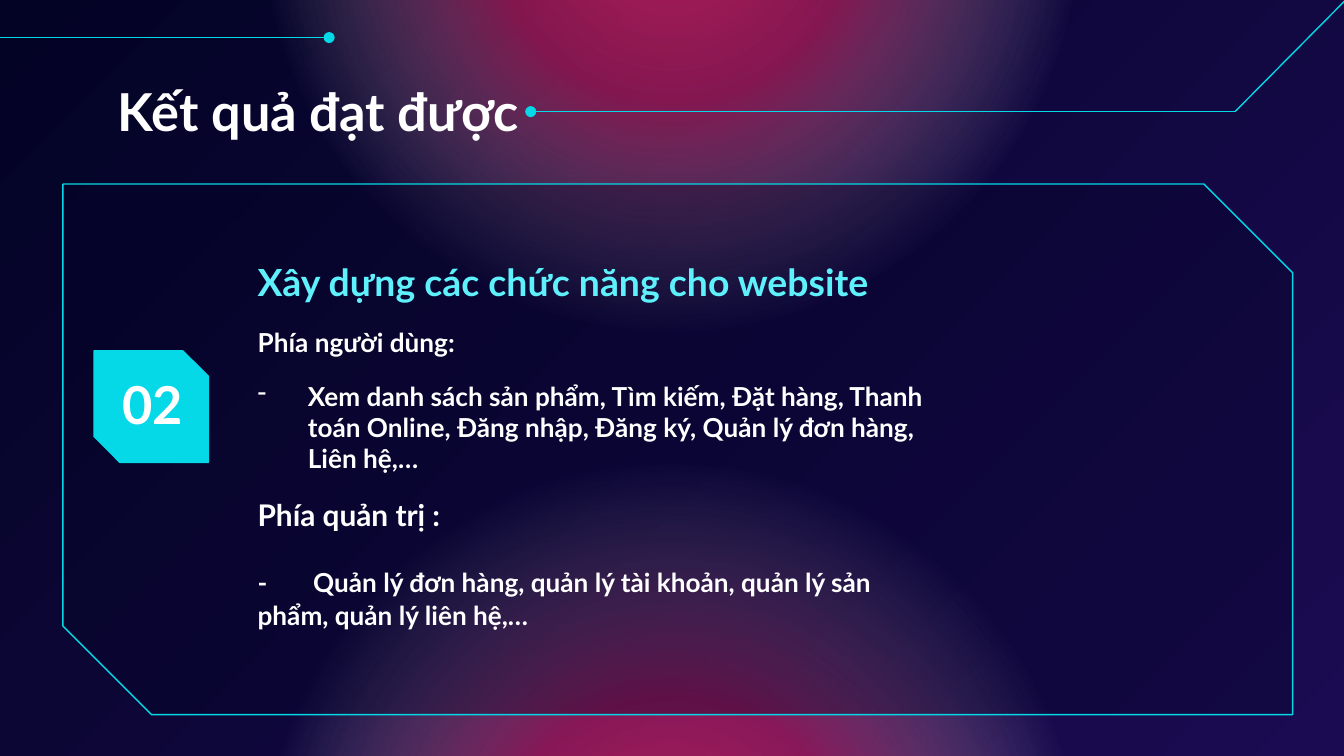
import pptx
import pptx.dml.color
import pptx.enum.shapes
import pptx.enum.text
import pptx.oxml
import pptx.oxml.ns
import pptx.util

Cm = pptx.util.Cm
Pt = pptx.util.Pt
hue = pptx.dml.color.RGBColor.from_string
kinds = pptx.enum.shapes.MSO_SHAPE
space = pptx.oxml.ns.nsdecls("a")
CYAN, WHITE, NAVY = "05D8E7", "FFFFFF", "030325"


def grade(owner, stops, shade):
    """Fill the gradient inside owner with (position, colour, opacity) stops, in percent."""
    grad = owner.find(".//" + pptx.oxml.ns.qn("a:gradFill"))
    for child in list(grad):
        grad.remove(child)
    marks = "".join(
        f'<a:gs pos="{pos * 1000}"><a:srgbClr val="{tint}">'
        f'<a:alpha val="{alpha * 1000}"/></a:srgbClr></a:gs>'
        for pos, tint, alpha in stops)
    grad.append(pptx.oxml.parse_xml(f"<a:gsLst {space}>{marks}</a:gsLst>"))
    grad.append(pptx.oxml.parse_xml(shade))


def write(para, text, size, tint=WHITE):
    run = para.add_run()
    run.text = text
    for name, value in {"name": "Lato", "size": Pt(size), "bold": True}.items():
        setattr(run.font, name, value)
    run.font.color.rgb = hue(tint)


deck = pptx.Presentation()
deck.slide_width, deck.slide_height = Cm(25.4), Cm(14.29)
slide = deck.slides.add_slide(deck.slide_layouts[6])
shapes = slide.shapes

# Background and glows
slide.background.fill.gradient()
grade(slide.element, [(0, NAVY, 100), (100, "1B0B52", 100)],
      f'<a:lin {space} ang="2700000" scaled="0"/>')
glow = [(0, "FF296D", 67), (30, "FF296D", 49), (69, WHITE, 0), (100, WHITE, 0)]
for top in (-9.4, 8.56):
    disc = shapes.add_shape(kinds.OVAL, Cm(4.75), Cm(top), Cm(15.88), Cm(15.88))
    disc.shadow.inherit = False
    disc.line.fill.background()
    disc.fill.gradient()
    grade(disc.element, glow,
          f'<a:path {space} path="circle"><a:fillToRect l="50000" t="50000" '
          'r="50000" b="50000"/></a:path>')

# Panel and number badge
plates = [((1.19, 3.48, 23.24, 10.03), 0.167, NAVY, 31),
          ((1.78, 6.63, 2.16, 2.11), 0.23, CYAN, 100)]
for box, snip, tint, alpha in plates:
    plate = shapes.add_shape(kinds.SNIP_2_DIAG_RECTANGLE, *map(Cm, box))
    plate.shadow.inherit = False
    plate.adjustments[0], plate.adjustments[1] = 0, snip
    plate.fill.solid()
    plate.fill.fore_color.rgb = hue(tint)
    paint = plate.element.spPr.find(
        pptx.oxml.ns.qn("a:solidFill") + "/" + pptx.oxml.ns.qn("a:srgbClr"))
    paint.append(pptx.oxml.parse_xml(f'<a:alpha {space} val="{alpha * 1000}"/>'))
    plate.line.color.rgb = hue(CYAN)
    plate.line.width = Pt(0.75)

# Circuit lines
wires = [((25.53, -0.1, 23.34, 2.11), False),
         ((23.34, 2.11, 10.03, 2.11), True),
         ((-0.05, 0.71, 6.22, 0.71), True)]
for ends, dot in wires:
    wire = shapes.add_connector(
        pptx.enum.shapes.MSO_CONNECTOR.STRAIGHT, *map(Cm, ends))
    wire.line.color.rgb = hue(CYAN)
    wire.line.width = Pt(0.75)
    if dot:
        wire.line._get_or_add_ln().append(
            pptx.oxml.parse_xml(f'<a:tailEnd {space} type="oval"/>'))
    wire.element.spPr.append(pptx.oxml.parse_xml(f"<a:effectLst {space}/>"))

# Text frames
frames = {}
for name, box in {"title": (1.98, 1.24, 21.44, 1.7),
                  "body": (4.62, 4.65, 13.21, 7.65),
                  "badge": (1.8, 6.96, 2.16, 1.35)}.items():
    frame = shapes.add_textbox(*map(Cm, box)).text_frame
    frame.word_wrap = True
    for side in ("left", "right", "top", "bottom"):
        setattr(frame, "margin_" + side, Cm(0.25))
    frames[name] = frame

write(frames["title"].paragraphs[0], "Kết quả đạt được", 28)
badge = frames["badge"]
badge.vertical_anchor = pptx.enum.text.MSO_ANCHOR.MIDDLE
badge.paragraphs[0].alignment = pptx.enum.text.PP_ALIGN.CENTER
write(badge.paragraphs[0], "02", 28)

body = [
    [("Xây dựng các chức năng cho website", 20, "5EF1FC")],
    [("Phía người dùng:", 14)],
    [("Xem danh sách sản phẩm, Tìm kiếm, Đặt hàng, Thanh toán Online, "
      "Đăng nhập, Đăng ký, Quản lý đơn hàng, Liên hệ,…", 14)],
    [("Phía quản trị :", 16)],
    [("-", 14), ("\t", 20),
     ("Quản lý đơn hàng, quản lý tài khoản, quản lý sản phẩm, "
      "quản lý liên hệ,…", 14)],
]
paras = [frames["body"].paragraphs[0]]
paras += [frames["body"].add_paragraph() for _ in body[1:]]
for para, runs in zip(paras, body):
    para.space_after = Pt(12)
    for run in runs:
        write(para, *run)

# Dash bullet with hanging indent, and a tab stop after the typed dash
props = paras[2]._p.get_or_add_pPr()
props.set("marL", str(Cm(0.95)))
props.set("indent", str(Cm(-0.95)))
for mark in (f'<a:buClr {space}><a:srgbClr val="{WHITE}"/></a:buClr>',
             f'<a:buChar {space} char="-"/>'):
    props.append(pptx.oxml.parse_xml(mark))
paras[4]._p.get_or_add_pPr().append(pptx.oxml.parse_xml(
    f'<a:tabLst {space}><a:tab pos="{Cm(1.05)}" algn="l"/></a:tabLst>'))

deck.save("out.pptx")
